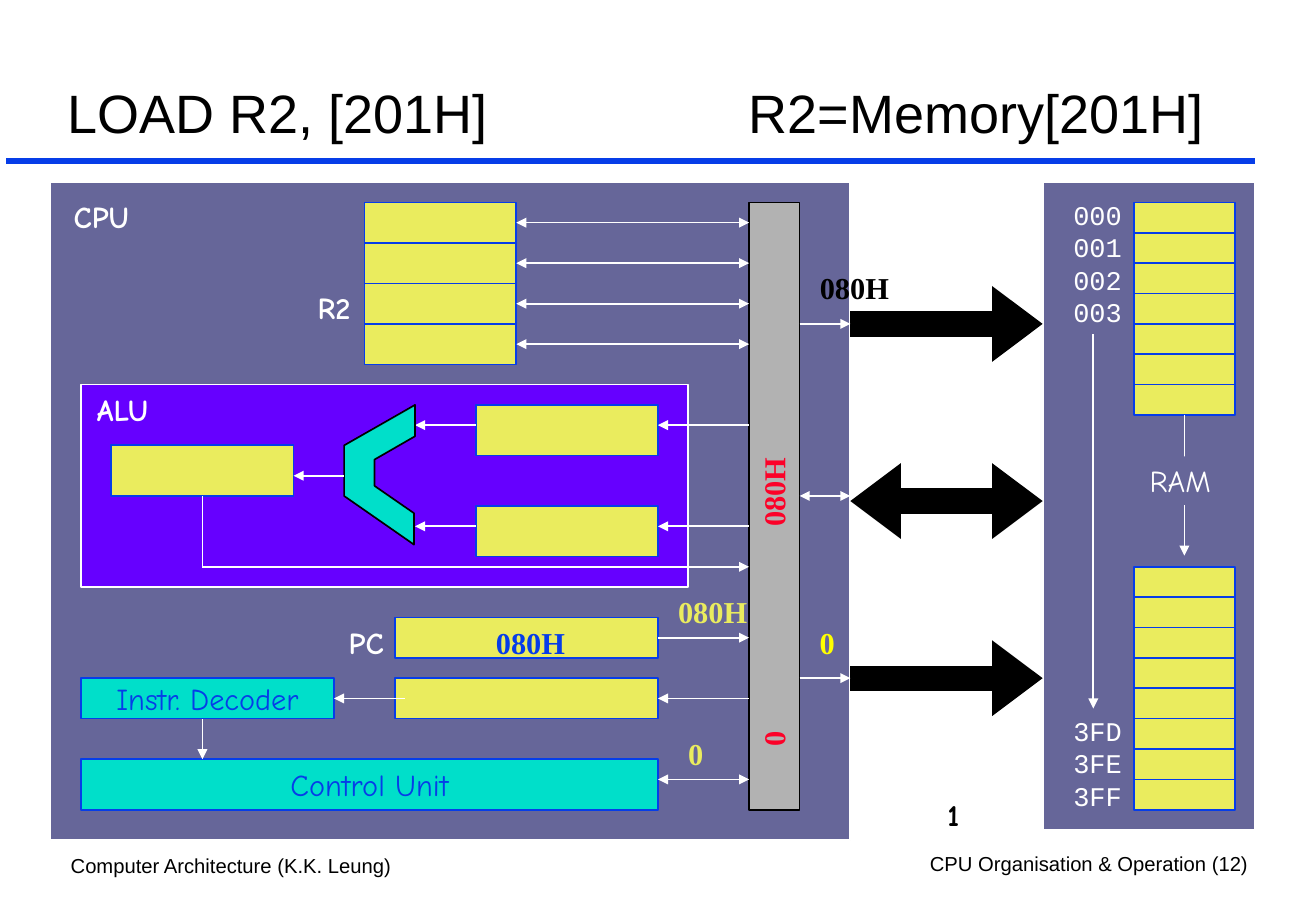
from lxml import etree
from pptx import Presentation
from pptx import util as u
from pptx.dml.color import RGBColor
from pptx.enum import shapes, text
from pptx.oxml.ns import qn

PX = 7620
WHITE, BLACK, BLUE, YELLOW = "FFFFFF", "000000", "063DE8", "EAEC5E"
SLATE, TEAL, RED, VIOLET, GREY = "666699", "00DFCA", "FC0128", "6600FF", "B2B2B2"
COMIC, SERIF, MONO, SANS = "Comic Neue", "Times New Roman", "Courier New", "Arial"
LEFT, CENTER, RIGHT = text.PP_ALIGN.LEFT, text.PP_ALIGN.CENTER, text.PP_ALIGN.RIGHT
TOP, MIDDLE, BOTTOM = text.MSO_ANCHOR.TOP, text.MSO_ANCHOR.MIDDLE, text.MSO_ANCHOR.BOTTOM


def px(*values):
    """Turn pixel lengths into EMU."""
    return [u.Emu(value * PX) for value in values]


def rgb(value):
    """Turn a hex string into a colour."""
    return RGBColor.from_string(value)


def paint(shape, fill, line):
    """Give a shape a flat fill and a thin outline."""
    shape.shadow.inherit = False
    shape.fill.solid()
    shape.fill.fore_color.rgb = rgb(fill)
    if line:
        shape.line.color.rgb = rgb(line)
        shape.line.width = u.Pt(1)
    else:
        shape.line.fill.background()
    return shape


def write(box, content, size=18, font=COMIC, color=WHITE, bold=False, align=LEFT,
          anchor=TOP, wrap=False, tab=None):
    """Write one paragraph per line of content into a shape."""
    frame = box.text_frame
    frame.word_wrap = wrap
    frame.vertical_anchor = anchor
    for index, line in enumerate(content.split("\n")):
        para = frame.add_paragraph() if index else frame.paragraphs[0]
        para.alignment = align
        if tab:
            stops = etree.SubElement(para._p.get_or_add_pPr(), qn("a:tabLst"))
            etree.SubElement(stops, qn("a:tab"), pos=str(tab * PX), algn="l")
        span = para.add_run()
        span.text = line
        span.font.size = u.Pt(size)
        span.font.name = font
        span.font.bold = bold
        span.font.color.rgb = rgb(color)


def label(slide, content, area, rotation=0, **style):
    """Add a text box."""
    box = slide.shapes.add_textbox(*px(*area))
    box.rotation = rotation
    write(box, content, **style)


def block(slide, area, fill=YELLOW, line=BLUE):
    """Add a rectangle."""
    kind = shapes.MSO_SHAPE.RECTANGLE
    return paint(slide.shapes.add_shape(kind, *px(*area)), fill, line)


def stack(slide, left, top, width, height, count):
    """Add a column of touching cells and return them."""
    return [block(slide, (left, top + row * height, width, height)) for row in range(count)]


def link(slide, start, end, heads="", color=WHITE, width=1, length="med", source=None):
    """Add a line with arrowheads at its start '<' or end '>', joined to a source side."""
    line = slide.shapes.add_connector(shapes.MSO_CONNECTOR.STRAIGHT, *px(*start, *end))
    if source:
        line.begin_connect(*source)
    line.line.color.rgb = rgb(color)
    line.line.width = u.Pt(width)
    outline = line.line._get_or_add_ln()
    for mark, tag in (("<", "a:headEnd"), (">", "a:tailEnd")):
        if mark in heads:
            etree.SubElement(outline, qn(tag), type="triangle", w="med", len=length)
    etree.SubElement(line._element.spPr, qn("a:effectLst"))


def draw_frame(slide):
    """Draw the title, its rule and the footers."""
    link(slide, (6, 159), (1240, 159), color=BLUE, width=4)
    label(slide, "LOAD R2, [201H]\tR2=Memory[201H]", (55, 36, 1188, 112), size=32,
          font=SANS, color=BLACK, anchor=BOTTOM, wrap=True, tab=673)
    footer = dict(size=12, font=SANS, color=BLACK, wrap=True)
    label(slide, "Computer Architecture (K.K. Leung)", (58, 837, 443, 36), **footer)
    label(slide, "CPU Organisation & Operation (12)", (812, 835, 433, 36), align=RIGHT, **footer)


def draw_memory(slide):
    """Draw the RAM panel with its cells and addresses."""
    block(slide, (1030, 180, 210, 640), SLATE, WHITE)
    low_cells = stack(slide, 1120, 200, 100, 30, 7)
    stack(slide, 1120, 560, 100, 30, 8)
    link(slide, (1170, 410), (1170, 549), ">", source=(low_cells[-1], 2))
    write(block(slide, (1124, 451, 84, 48), SLATE, None), "RAM", align=CENTER)
    for content, top, height in (("000\n001\n002\n003", 190, 140), ("3FD\n3FE\n3FF", 700, 108)):
        label(slide, content, (1030, top, 90, height), size=16, font=MONO,
              align=RIGHT, wrap=True)
    link(slide, (1080, 330), (1080, 700), ">")


def draw_alu(slide):
    """Draw the arithmetic unit with its operands and result."""
    result = block(slide, (110, 440, 180, 50))
    for top, lane in ((400, 420), (500, 520)):
        block(slide, (470, top, 180, 50))
        link(slide, (650, lane), (740, lane), "<")
        link(slide, (410, lane), (470, lane), "<")
    points = [(340, 490), (340, 440), (410, 400), (410, 431),
              (370, 454), (370, 480), (409, 507), (409, 538)]
    builder = slide.shapes.build_freeform(*points[0], scale=PX)
    builder.add_line_segments(points[1:], close=True)
    paint(builder.convert_to_shape(), TEAL, BLACK)
    link(slide, (290, 470), (340, 470), "<")
    link(slide, (200, 490), (200, 560), source=(result, 2))
    link(slide, (200, 560), (740, 560), ">")


def draw_cpu(slide):
    """Draw the CPU panel with registers, internal bus and control."""
    block(slide, (50, 180, 790, 650), SLATE, WHITE)
    label(slide, "CPU", (61, 190, 120, 48), bold=True)
    block(slide, (80, 380, 600, 200), VIOLET, WHITE)
    label(slide, "ALU", (84, 381, 120, 48), bold=True)
    block(slide, (740, 200, 50, 600), GREY, BLACK)
    for row, register in enumerate(stack(slide, 360, 200, 150, 40, 4)):
        lane = 220 + row * 40
        link(slide, (510, lane), (740, lane), "<>", source=(register, 3))
    draw_alu(slide)
    counter = block(slide, (390, 610, 260, 40))
    instruction = block(slide, (390, 670, 260, 40))
    decoder = block(slide, (80, 670, 250, 40), TEAL)
    control = block(slide, (80, 750, 570, 50), TEAL)
    for box, content in ((decoder, "Instr. Decoder"), (control, "Control Unit")):
        write(box, content, color=BLUE, align=CENTER, anchor=MIDDLE)
    link(slide, (650, 630), (740, 630), ">", source=(counter, 3))
    link(slide, (650, 690), (740, 690), "<", source=(instruction, 3))
    link(slide, (330, 690), (400, 690), "<", source=(decoder, 3))
    link(slide, (650, 770), (740, 770), "<>")
    link(slide, (200, 750), (200, 710), "<")
    label(slide, "R2", (238, 280, 120, 48), bold=True, align=RIGHT)
    label(slide, "PC", (271, 611, 120, 48), bold=True, align=RIGHT)


def draw_buses(slide):
    """Draw the buses between CPU and RAM."""
    for heads, inner, outer in ((">", 320, 320), ("<>", 490, 495), (">", 670, 670)):
        link(slide, (840, outer), (1030, outer), heads, BLACK, 15, "sm")
        link(slide, (790, inner), (840, inner), heads)


def draw_values(slide):
    """Write the values that travel in this step."""
    values = [
        ("080H", (658, 580, 92, 48), 0, YELLOW),
        ("080H", (718, 462, 92, 48), 270, RED),
        ("080H", (798, 260, 92, 48), 0, BLACK),
        ("080H", (478, 611, 92, 48), 0, BLUE),
        ("0", (668, 720, 38, 48), 0, YELLOW),
        ("0", (745, 706, 38, 48), 270, RED),
        ("0", (798, 611, 38, 48), 0, "FFFF00"),
    ]
    for content, area, rotation, color in values:
        label(slide, content, area, rotation, font=SERIF, color=color, bold=True)
    label(slide, "1", (924, 781, 36, 48), color=BLACK, bold=True)


def main():
    """Build and save the slide."""
    deck = Presentation()
    deck.slide_width, deck.slide_height = px(1300, 900)
    page = deck.slides.add_slide(deck.slide_layouts[6])
    draw_frame(page)
    draw_cpu(page)
    draw_memory(page)
    draw_buses(page)
    draw_values(page)
    deck.save("out.pptx")


if __name__ == "__main__":
    main()
